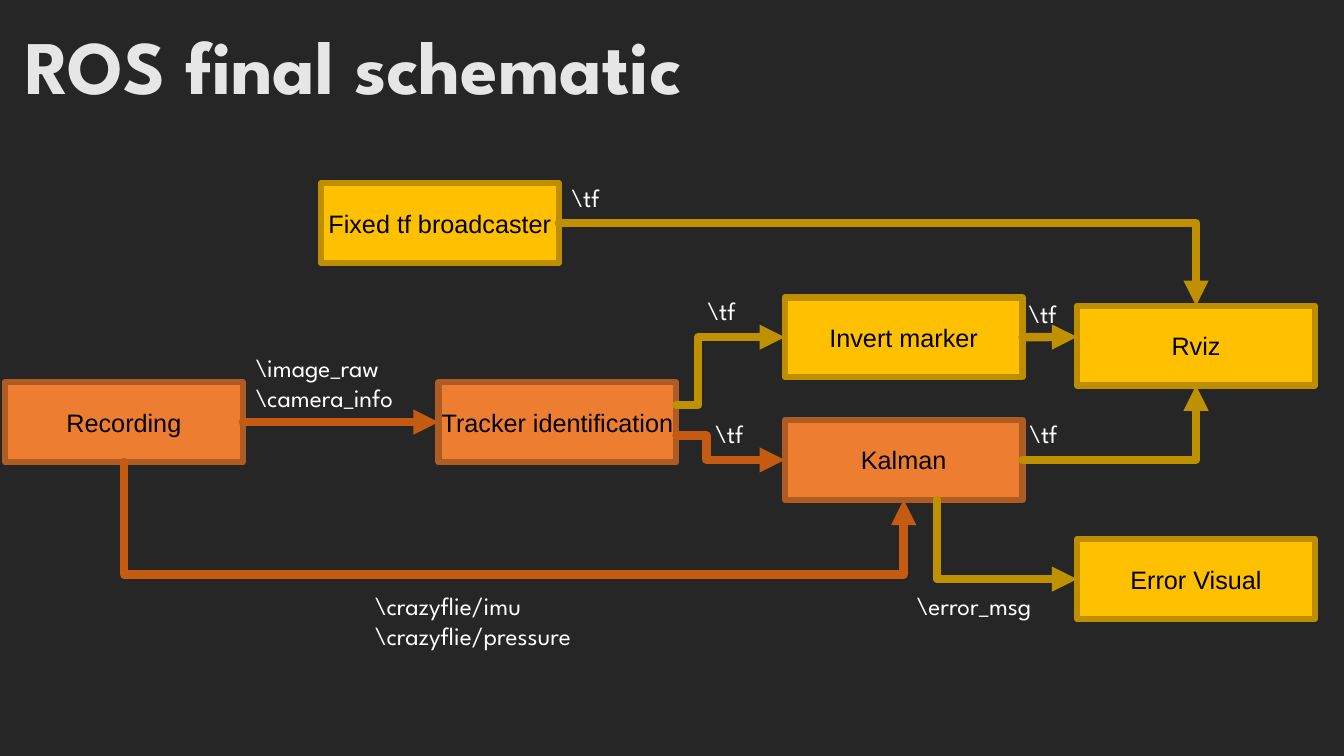
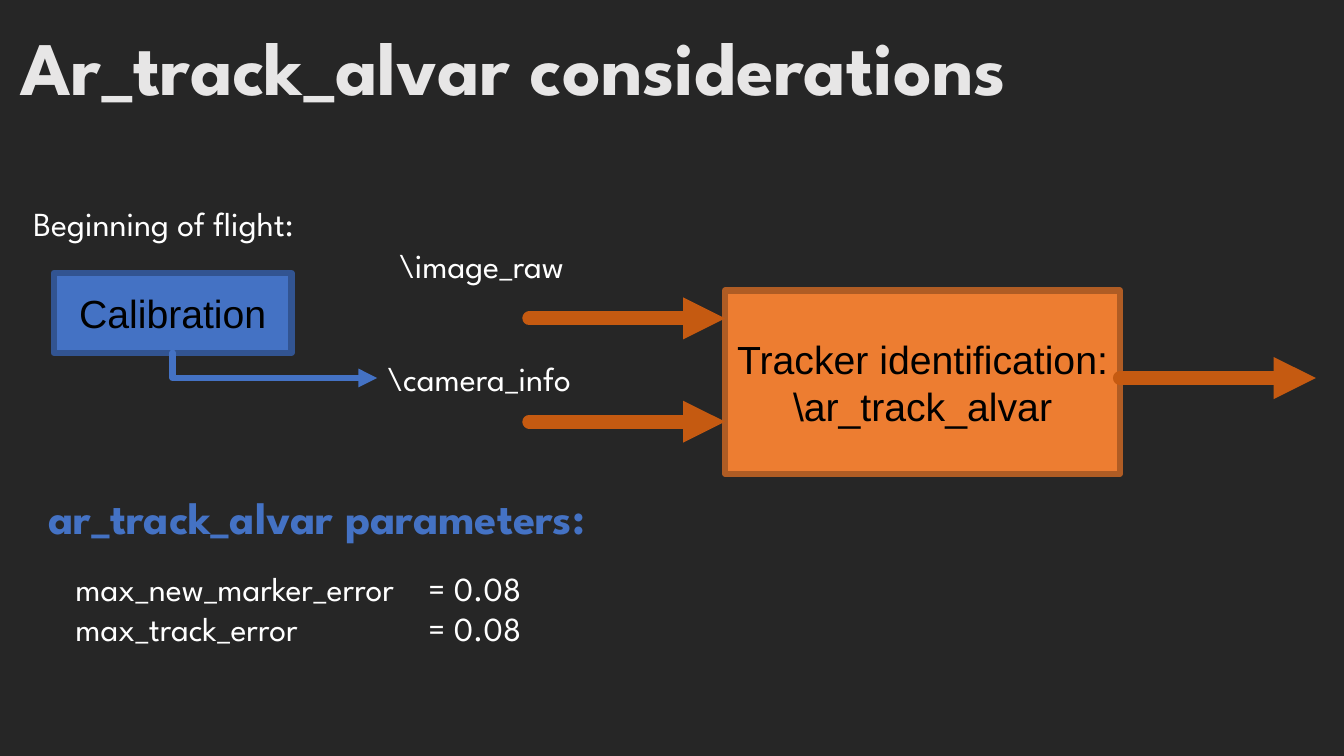
import lxml.etree
import pptx
import pptx.dml.color
import pptx.enum.shapes
import pptx.enum.text
import pptx.oxml.ns
import pptx.util

Pt = pptx.util.Pt
qn = pptx.oxml.ns.qn
ALIGN = pptx.enum.text.PP_ALIGN
ANCHOR = pptx.enum.text.MSO_ANCHOR
WIRE = pptx.enum.shapes.MSO_CONNECTOR
RECT = pptx.enum.shapes.MSO_SHAPE.RECTANGLE


class Theme:
    back, title, text, ink = "262626", "E7E6E6", "FFFFFF", "000000"
    # fill, border and arrow colour of each family
    orange = ("ED7D31", "AF5C24", "C55A11")
    gold = ("FFC000", "BD8E00", "BF9000")
    blue = ("4472C4", "325491", "4472C4")
    head, body = "League Spartan", "Arial"
    huge, big, large, mid, small = 54, 32, 28, 24, 18
    border = 4.5


deck = pptx.Presentation()
deck.slide_width = pptx.util.Inches(13.33)
deck.slide_height = pptx.util.Inches(7.5)
CELL = deck.slide_height / 90  # square grid cell: 90 rows, about 160 columns
rgb = pptx.dml.color.RGBColor.from_string
back = deck.slide_master.background.fill
back.solid()
back.fore_color.rgb = rgb(Theme.back)


def cells(*counts):
    """Turn counts of grid cells into lengths."""
    return [round(n * CELL) for n in counts]


def write(frame, lines, size, colour, face=Theme.head, bold=False,
          align=ALIGN.LEFT, tab=None):
    """Fill a text frame; tab is a tab stop in cells."""
    for i, line in enumerate(lines):
        para = frame.add_paragraph() if i else frame.paragraphs[0]
        para.text = line
        para.alignment = align
        para.line_spacing = 1.0
        if tab:
            stops = lxml.etree.SubElement(
                para._p.get_or_add_pPr(), qn("a:tabLst"))
            lxml.etree.SubElement(stops, qn("a:tab"),
                                  pos=str(cells(tab)[0]), algn="l")
        font = para.font
        font.name, font.size, font.bold = face, Pt(size), bold
        font.color.rgb = rgb(colour)


NODE = (28.3, 9.5)
SIDES = {(0.5, 0): 0, (0, 0.5): 1, (0.5, 1): 2, (1, 0.5): 3}

# Boxes: name, lines, place, size, colours.
# Labels: lines, place and size, type size, colour, bold, tab stop.
# Links: route, start, end, colours, width, row or column of the bend.
# An end is a point, or a box name with shares of its width and height.
# Routes: line, over (across then along), down (first vertical),
# step (across, vertical, across), dip (vertical, across, vertical).
PAGES = [
    dict(
        title="ROS final schematic", place=(1.8, 1.6, 123.5, 18.4),
        size=Theme.small,
        boxes=[
            ("rec", ["Recording"], (0.6, 45.5), NODE, Theme.orange),
            ("fix", ["Fixed tf broadcaster"], (38.2, 21.8), NODE, Theme.gold),
            ("rviz", ["Rviz"], (128.2, 36.4), NODE, Theme.gold),
            ("inv", ["Invert marker"], (93.4, 35.4), NODE, Theme.gold),
            ("track", ["Tracker identification"], (52.2, 45.5), NODE,
             Theme.orange),
            ("err", ["Error Visual"], (128.2, 64.2), NODE, Theme.gold),
            ("kal", ["Kalman"], (93.4, 50), NODE, Theme.orange),
        ],
        links=[
            ("over", ("fix", 1, 0.5), ("rviz", 0.5, 0), Theme.gold, 6, None),
            ("line", ("inv", 1, 0.5), ("rviz", 0, 0.39), Theme.gold, 6, None),
            ("step", ("track", 1, 0.29), ("inv", 0, 0.5), Theme.gold, 6, 83.1),
            ("over", ("kal", 1, 0.5), ("rviz", 0.5, 1), Theme.gold, 6, None),
            ("step", ("track", 1, 0.67), ("kal", 0, 0.5), Theme.orange, 6,
             84.1),
            ("dip", ("rec", 0.5, 1), ("kal", 0.5, 1), Theme.orange, 6, 68.4),
            ("line", ("rec", 1, 0.5), ("track", 0, 0.5), Theme.orange, 6,
             None),
            ("down", ("kal", 0.64, 1), ("err", 0, 0.5), Theme.gold, 6, None),
        ],
        labels=[
            (lines, place, Theme.small, Theme.text, False, None)
            for lines, place in [
                ([r"\tf"], (83.9, 49.2, 6.3, 4.8)),
                ([r"\tf"], (83, 34.6, 6.3, 4.8)),
                ([r"\tf"], (121.2, 34.9, 6.3, 4.8)),
                ([r"\tf"], (121.3, 49.2, 6.3, 4.8)),
                ([r"\tf"], (66.8, 21.1, 6.3, 4.8)),
                ([r"\image_raw", r"\camera_info"], (29.2, 41.3, 22.9, 8.5)),
                ([r"\crazyflie/imu", r"\crazyflie/pressure"],
                 (43.4, 69.7, 29.6, 8.5)),
                ([r"\error_msg"], (107.9, 69.7, 18.5, 4.8)),
            ]
        ],
    ),
    dict(
        title="Ar_track_alvar considerations", place=(1.3, 1.8, 152.2, 18.4),
        size=Theme.large,
        boxes=[
            ("track", ["Tracker identification:", r"\ar_track_alvar"],
             (86.3, 34.6), (47, 21.8), Theme.orange),
            ("cal", ["Calibration"], (6.4, 32.5), NODE, Theme.blue),
        ],
        links=[
            ("line", (133.3, 45), (156.6, 45), Theme.orange, 10, None),
            ("line", (63, 37.9), (86.3, 37.9), Theme.orange, 10, None),
            ("line", (63, 50.2), (86.3, 50.2), Theme.orange, 10, None),
            ("down", ("cal", 0.5, 1), (44.9, 45), Theme.blue, 4.5, None),
        ],
        labels=[
            ([r"\camera_info"], (44.9, 42, 29.8, 6), Theme.mid, Theme.text,
             False, None),
            ([r"\image_raw"], (46.3, 28.6, 26.9, 6), Theme.mid, Theme.text,
             False, None),
            (["Beginning of flight:"], (2.8, 23.6, 38.4, 6), Theme.mid,
             Theme.text, False, None),
            (["ar_track_alvar parameters:"], (4.6, 57.7, 72.7, 7.7),
             Theme.big, Theme.blue[0], True, None),
            (["max_new_marker_error\t= 0.08", "max_track_error\t= 0.08"],
             (7.8, 67, 62.3, 10.9), Theme.mid, Theme.text, False, 42),
        ],
    ),
]

for page in PAGES:
    slide = deck.slides.add_slide(deck.slide_layouts[5])
    title = slide.shapes.title
    title.left, title.top, title.width, title.height = cells(*page["place"])
    title.text_frame.auto_size = pptx.enum.text.MSO_AUTO_SIZE.NONE
    title.text_frame.vertical_anchor = ANCHOR.TOP
    write(title.text_frame, [page["title"]], Theme.huge, Theme.title,
          bold=True)

    nodes = {}
    for name, lines, place, size, (fill, edge, _) in page["boxes"]:
        box = slide.shapes.add_shape(RECT, *cells(*place, *size))
        box.shadow.inherit = False
        box.fill.solid()
        box.fill.fore_color.rgb = rgb(fill)
        box.line.color.rgb = rgb(edge)
        box.line.width = Pt(Theme.border)
        box.text_frame.word_wrap = False
        box.text_frame.vertical_anchor = ANCHOR.MIDDLE
        write(box.text_frame, lines, page["size"], Theme.ink, Theme.body,
              align=ALIGN.CENTER)
        nodes[name] = box

    for route, start, end, hues, width, bend in page["links"]:
        ends = []
        for spot in (start, end):
            if len(spot) == 3:
                box = nodes[spot[0]]
                ends += [round(box.left + spot[1] * box.width),
                         round(box.top + spot[2] * box.height)]
            else:
                ends += cells(*spot)
        x1, y1, x2, y2 = ends
        wire = slide.shapes.add_connector(
            WIRE.STRAIGHT if route == "line" else WIRE.ELBOW, *ends)
        props = wire._element.spPr
        shape = props.find(qn("a:prstGeom"))
        if route in ("over", "down"):
            shape.set("prst", "bentConnector2")
        if route in ("down", "dip"):
            # a quarter turn swaps the sides around the same centre
            wide, high = abs(y2 - y1), abs(x2 - x1)
            wire.left, wire.top = (x1 + x2 - wide) // 2, (y1 + y2 - high) // 2
            wire.width, wire.height = wide, high
            wire.rotation = 270
            props.find(qn("a:xfrm")).set("flipH", "1")
        if bend:
            first, last = (y1, y2) if route == "dip" else (x1, x2)
            share = (cells(bend)[0] - first) / (last - first)
            guides = shape.find(qn("a:avLst"))
            if guides is None:
                guides = lxml.etree.SubElement(shape, qn("a:avLst"))
            lxml.etree.SubElement(guides, qn("a:gd"), name="adj1",
                                  fmla=f"val {round(share * 100000)}")
        if route == "line":
            for spot, join in ((start, wire.begin_connect),
                               (end, wire.end_connect)):
                if spot[1:] in SIDES:
                    join(nodes[spot[0]], SIDES[spot[1:]])
        wire.line.color.rgb = rgb(hues[2])
        wire.line.width = Pt(width)
        stroke = props.find(qn("a:ln"))
        stroke.set("cap", "rnd")
        lxml.etree.SubElement(stroke, qn("a:round"))
        lxml.etree.SubElement(stroke, qn("a:tailEnd"), type="triangle")
        lxml.etree.SubElement(props, qn("a:effectLst"))

    for lines, place, size, colour, bold, tab in page["labels"]:
        label = slide.shapes.add_textbox(*cells(*place))
        label.text_frame.word_wrap = True
        write(label.text_frame, lines, size, colour, bold=bold, tab=tab)

deck.save("out.pptx")
